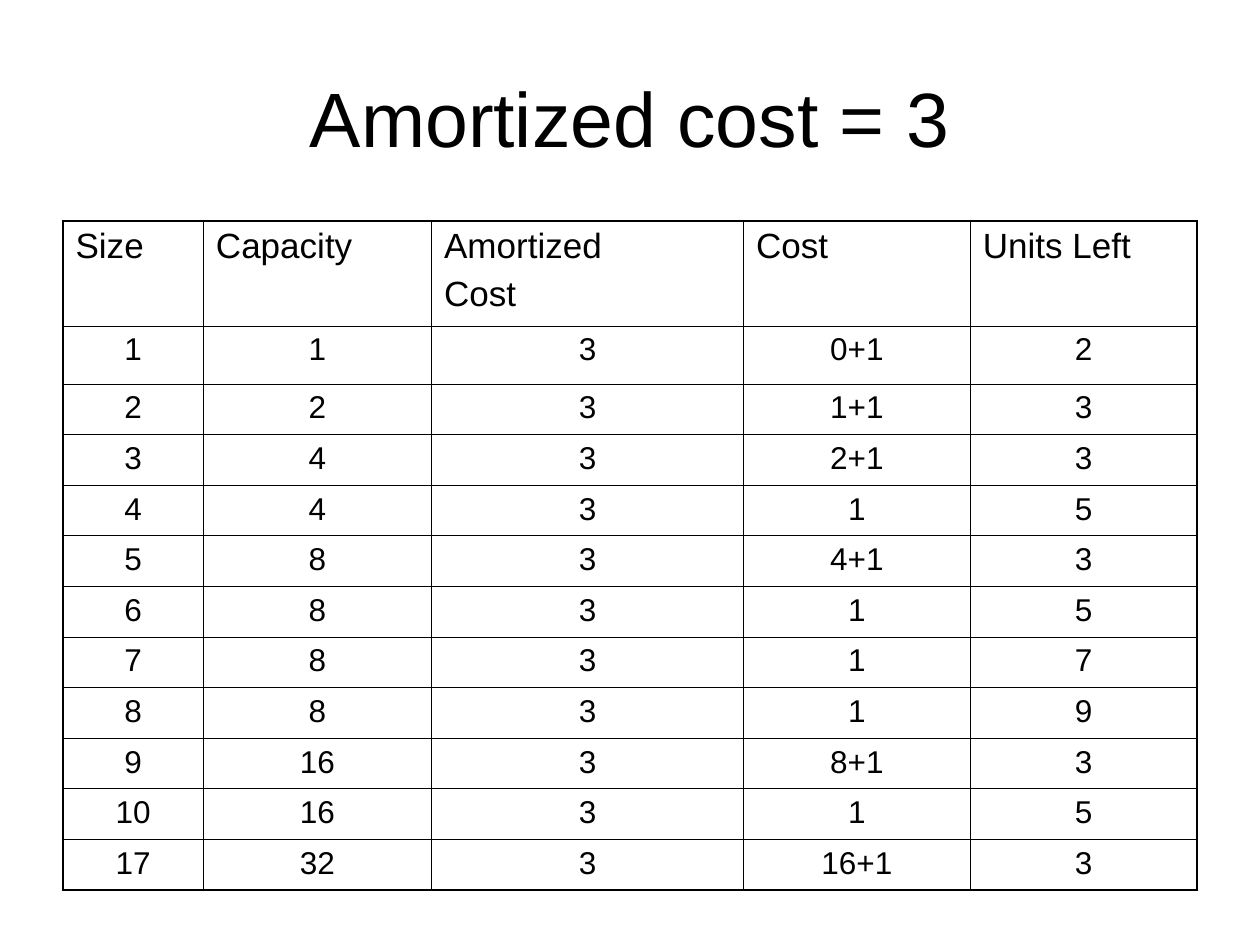
"""Build a slide with a table of amortized costs for a growing array."""
from lxml.etree import SubElement
from pptx import Presentation
from pptx.dml.color import RGBColor
from pptx.enum.text import MSO_ANCHOR, MSO_AUTO_SIZE, PP_ALIGN
from pptx.oxml.ns import qn
from pptx.util import Cm, Pt

BLACK = "000000"
THIN, THICK = Pt(0.45), Pt(1.08)
TITLE = {"size": Pt(44), "name": "Arial"}
HEADER = {"size": Pt(20), "name": "Arial", "bold": False}
BODY = {"size": Pt(18), "name": "Arial", "bold": False}
HEADER_PARAGRAPH = {"alignment": PP_ALIGN.LEFT, "space_before": Pt(5)}
BODY_PARAGRAPH = {"alignment": PP_ALIGN.CENTER, "space_before": Pt(4.5)}


def style(font, values, color):
    for name, value in values.items():
        setattr(font, name, value)
    font.color.rgb = RGBColor.from_string(color)


def add_border(cell, side, width, color):
    line = SubElement(cell._tc.get_or_add_tcPr(), qn(f"a:{side}"), w=str(width))
    fill = SubElement(line, qn("a:solidFill"))
    SubElement(fill, qn("a:srgbClr"), val=color)


rows = [
    ("Size", "Capacity", "Amortized\nCost", "Cost", "Units Left"),
    ("1", "1", "3", "0+1", "2"),
    ("2", "2", "3", "1+1", "3"),
    ("3", "4", "3", "2+1", "3"),
    ("4", "4", "3", "1", "5"),
    ("5", "8", "3", "4+1", "3"),
    ("6", "8", "3", "1", "5"),
    ("7", "8", "3", "1", "7"),
    ("8", "8", "3", "1", "9"),
    ("9", "16", "3", "8+1", "3"),
    ("10", "16", "3", "1", "5"),
    ("17", "32", "3", "16+1", "3"),
]
column_widths = [2.83, 4.6, 6.29, 4.57, 4.57]
row_heights = [2.12, 1.17] + [1.02] * 10
last_row, last_column = len(rows) - 1, len(column_widths) - 1

deck = Presentation()
deck.slide_width, deck.slide_height = Cm(25.4), Cm(19.05)
page = deck.slides.add_slide(deck.slide_layouts[5])

title = page.shapes.title
title.left, title.top, title.width, title.height = Cm(1.27), Cm(0.76), Cm(22.86), Cm(3.18)
title.text_frame.text = "Amortized cost = 3"
title.text_frame.auto_size = MSO_AUTO_SIZE.NONE
title.text_frame.vertical_anchor = MSO_ANCHOR.MIDDLE
heading = title.text_frame.paragraphs[0]
heading.alignment = PP_ALIGN.CENTER
style(heading.runs[0].font, TITLE, BLACK)

table = page.shapes.add_table(
    len(rows), len(column_widths), Cm(1.27), Cm(4.45),
    Cm(sum(column_widths)), Cm(sum(row_heights))).table
table.first_row = table.horz_banding = False
for column, width in zip(table.columns, column_widths):
    column.width = Cm(width)

for row_index, (row, height) in enumerate(zip(rows, row_heights)):
    table.rows[row_index].height = Cm(height)
    font_values = BODY if row_index else HEADER
    paragraph_values = BODY_PARAGRAPH if row_index else HEADER_PARAGRAPH
    for column_index, text in enumerate(row):
        cell = table.cell(row_index, column_index)
        cell.text = text
        for paragraph in cell.text_frame.paragraphs:
            for name, value in paragraph_values.items():
                setattr(paragraph, name, value)
            style(paragraph.runs[0].font, font_values, BLACK)
        outer_edges = {
            "lnL": column_index == 0,
            "lnR": column_index == last_column,
            "lnT": row_index == 0,
            "lnB": row_index == last_row,
        }
        for side, is_outer in outer_edges.items():
            add_border(cell, side, THICK if is_outer else THIN, BLACK)
        cell.fill.background()

deck.save("out.pptx")
